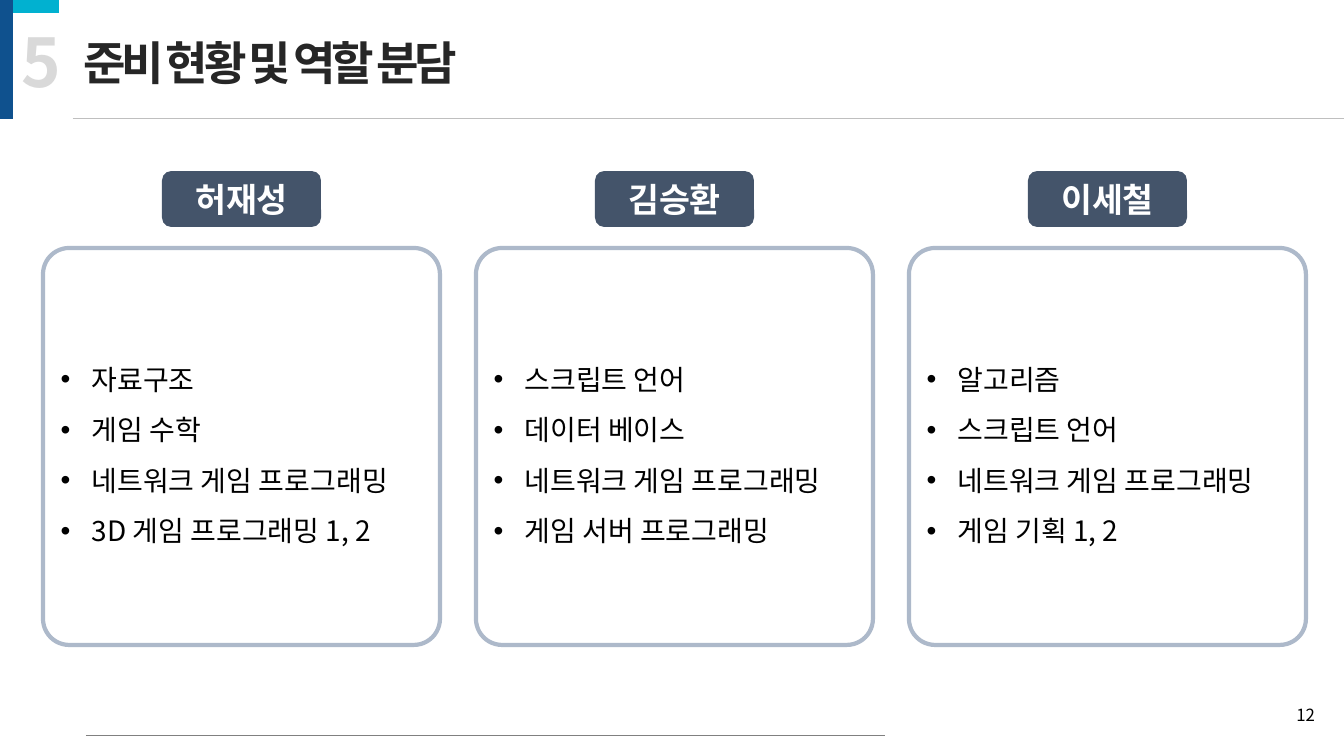
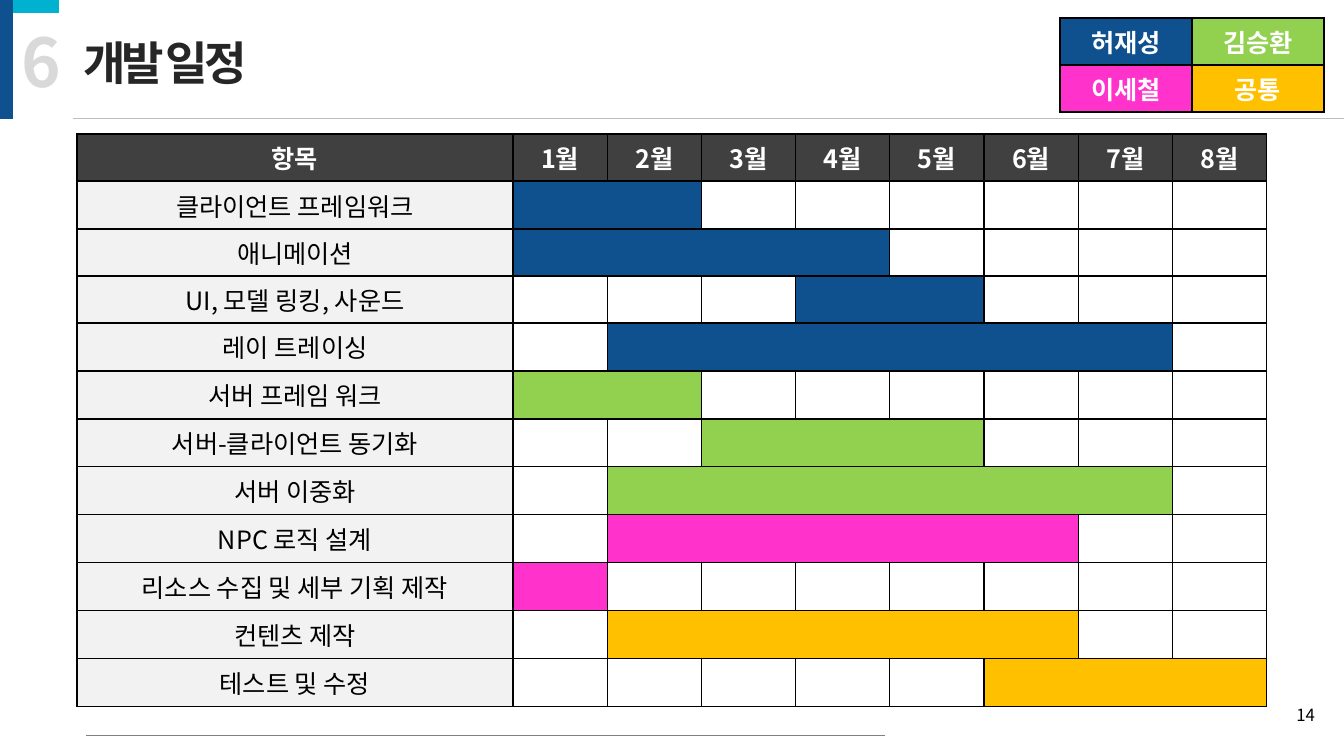
from lxml import etree
from pptx import Presentation
from pptx.dml.color import RGBColor
from pptx.enum.shapes import MSO_CONNECTOR, MSO_SHAPE
from pptx.enum.text import MSO_ANCHOR, MSO_AUTO_SIZE, PP_ALIGN
from pptx.oxml.ns import qn
from pptx.util import Emu, Pt

RECT, ROUNDED = MSO_SHAPE.RECTANGLE, MSO_SHAPE.ROUNDED_RECTANGLE
STRAIGHT = MSO_CONNECTOR.STRAIGHT
LEFT, CENTER, RIGHT = PP_ALIGN.LEFT, PP_ALIGN.CENTER, PP_ALIGN.RIGHT
TOP, MIDDLE = MSO_ANCHOR.TOP, MSO_ANCHOR.MIDDLE
FIXED_SIZE = MSO_AUTO_SIZE.NONE

FONT = "Noto Sans CJK KR"
NAVY, CYAN, GREEN, PINK, AMBER = "0F518E", "01B1D0", "92D050", "FF33CC", "FFC000"
SLATE, CARD_EDGE = "44546A", "ADB9CA"
BLACK, WHITE, INK, HEADER = "000000", "FFFFFF", "262626", "404040"
PALE, FAINT, RULE, FOOT_RULE = "F2F2F2", "D9D9D9", "BFBFBF", "808080"

SLIDE_WIDTH, SLIDE_HEIGHT = 1344, 756
TITLE_ONLY = 5

MEMBERS = {
    "허재성": ["자료구조", "게임 수학", "네트워크 게임 프로그래밍", "3D 게임 프로그래밍 1, 2"],
    "김승환": ["스크립트 언어", "데이터 베이스", "네트워크 게임 프로그래밍", "게임 서버 프로그래밍"],
    "이세철": ["알고리즘", "스크립트 언어", "네트워크 게임 프로그래밍", "게임 기획 1, 2"],
}
OWNERS = [[("허재성", NAVY), ("김승환", GREEN)], [("이세철", PINK), ("공통", AMBER)]]
MONTHS = 8
TASKS = [  # task, owner colour, first month, last month
    ("클라이언트 프레임워크", NAVY, 1, 2),
    ("애니메이션", NAVY, 1, 4),
    ("UI, 모델 링킹, 사운드", NAVY, 4, 5),
    ("레이 트레이싱", NAVY, 2, 7),
    ("서버 프레임 워크", GREEN, 1, 2),
    ("서버-클라이언트 동기화", GREEN, 3, 5),
    ("서버 이중화", GREEN, 2, 7),
    ("NPC 로직 설계", PINK, 2, 6),
    ("리소스 수집 및 세부 기획 제작", PINK, 1, 1),
    ("컨텐츠 제작", AMBER, 2, 6),
    ("테스트 및 수정", AMBER, 6, 8),
]


def px(length):
    """Turn pixels into EMU."""
    return Emu(round(length * 914400 / 100.8))


def rgb(color):
    """Turn a hex string into a colour."""
    return RGBColor.from_string(color)


class Deck:
    """Holds the shared style and the current slide."""

    def __init__(self):
        """Start an empty presentation."""
        self.prs = Presentation()
        self.prs.slide_width = px(SLIDE_WIDTH)
        self.prs.slide_height = px(SLIDE_HEIGHT)
        self.slide = None

    def new_slide(self, section, title, page):
        """Add a slide with bands, rules, section number, title and page."""
        self.slide = self.prs.slides.add_slide(self.prs.slide_layouts[TITLE_ONLY])
        self.shape(RECT, (0, 0, 13, 119), fill=NAVY)
        self.shape(RECT, (13, 0, 46, 13), fill=CYAN)
        self.rule(73, SLIDE_WIDTH, 118, RULE)
        self.rule(86, 885, 735, FOOT_RULE)
        self.title(title)
        self.text(section, (12, 9, 61, 92), 48, FAINT, bold=True, leading=62, wrap=False)
        self.text(page, (1282, 695, 43, 40), 12, BLACK, align=RIGHT, anchor=MIDDLE)

    def styled_run(self, paragraph, words, size, color, bold=False, align=LEFT, leading=None):
        """Add one formatted run to a paragraph; leading is in points."""
        paragraph.alignment = align
        if leading:
            paragraph.line_spacing = Pt(leading)
        run = paragraph.add_run()
        run.text = words
        font = run.font
        font.size, font.bold = Pt(size), bold
        font.color.rgb = rgb(color)
        font.name = FONT
        etree.SubElement(font._element, qn("a:ea"), typeface=FONT)
        return run

    def title(self, words):
        """Place and fill the title placeholder."""
        title = self.slide.shapes.title
        title.left, title.top, title.width, title.height = map(px, (73, 25, 452, 67))
        frame = title.text_frame
        frame.auto_size, frame.vertical_anchor = FIXED_SIZE, TOP
        run = self.styled_run(frame.paragraphs[0], words, 33, INK, True, leading=43)
        run.font._element.set("spc", "-300")

    def text(self, words, box, size, color, anchor=TOP, wrap=True, **style):
        """Add a one-line text box."""
        frame = self.slide.shapes.add_textbox(*map(px, box)).text_frame
        frame.word_wrap, frame.vertical_anchor = wrap, anchor
        self.styled_run(frame.paragraphs[0], words, size, color, **style)

    def shape(self, kind, box, fill=None, edge=None):
        """Add a preset shape with an optional fill and 3 pt edge."""
        shape = self.slide.shapes.add_shape(kind, *map(px, box))
        shape.shadow.inherit = False
        if fill:
            shape.fill.solid()
            shape.fill.fore_color.rgb = rgb(fill)
        else:
            shape.fill.background()
        if edge:
            shape.line.color.rgb = rgb(edge)
            shape.line.width = Pt(3)
        else:
            shape.line.fill.background()
        return shape

    def rule(self, start, end, y, color):
        """Draw a thin horizontal line."""
        line = self.slide.shapes.add_connector(STRAIGHT, px(start), px(y), px(end), px(y))
        line.line.color.rgb = rgb(color)
        line.line.width = Pt(0.5)
        etree.SubElement(line._element.spPr, qn("a:effectLst"))

    def badge(self, name, box):
        """Add a filled name badge."""
        frame = self.shape(ROUNDED, box, fill=SLATE).text_frame
        frame.vertical_anchor = MIDDLE
        self.styled_run(frame.paragraphs[0], name, 24, WHITE, True, CENTER)

    def card(self, items, box):
        """Add an outlined card with a bulleted list."""
        card = self.shape(ROUNDED, box, edge=CARD_EDGE)
        card.adjustments[0] = 0.066
        frame = card.text_frame
        frame.word_wrap, frame.vertical_anchor = True, MIDDLE
        for index, item in enumerate(items):
            paragraph = frame.add_paragraph() if index else frame.paragraphs[0]
            self.styled_run(paragraph, item, 20, BLACK, leading=36)
            properties = paragraph._p.get_or_add_pPr()
            properties.set("marL", str(px(31)))
            properties.set("indent", str(-px(31)))
            etree.SubElement(properties, qn("a:buFont"), typeface="Arial")
            etree.SubElement(properties, qn("a:buChar"), char="•")

    def table(self, left, top, widths, heights):
        """Add a plain table with black borders and no fills."""
        box = (left, top, sum(widths), sum(heights))
        table = self.slide.shapes.add_table(len(heights), len(widths), *map(px, box)).table
        table.first_row = table.horz_banding = False
        for column, width in zip(table.columns, widths):
            column.width = px(width)
        for row, height in zip(table.rows, heights):
            row.height = px(height)
        for cell in table.iter_cells():
            cell.fill.background()
            self.borders(cell)
        return table

    def borders(self, cell):
        """Draw 1 pt borders around a cell."""
        properties = cell._tc.get_or_add_tcPr()
        for index, side in enumerate(("a:lnL", "a:lnR", "a:lnT", "a:lnB")):
            line = etree.Element(qn(side), w=str(Pt(1)))
            fill = etree.SubElement(line, qn("a:solidFill"))
            etree.SubElement(fill, qn("a:srgbClr"), val=BLACK)
            properties.insert(index, line)

    def cell(self, cell, fill, words="", color=WHITE, bold=True):
        """Fill a cell and set its centred text, if any."""
        cell.fill.solid()
        cell.fill.fore_color.rgb = rgb(fill)
        cell.vertical_anchor = MIDDLE
        if words:
            self.styled_run(cell.text_frame.paragraphs[0], words, 18, color, bold, CENTER)


def roles_slide(deck):
    """Build the slide on preparation and roles."""
    deck.new_slide("5", "준비 현황 및 역할 분담", "12")
    pitch = 433
    for index, (name, subjects) in enumerate(MEMBERS.items()):
        deck.badge(name, (162 + index * pitch, 171, 159, 56))
        deck.card(subjects, (43 + index * pitch, 248, 397, 397))


def schedule_slide(deck):
    """Build the slide with the development schedule."""
    deck.new_slide("6", "개발 일정", "14")
    month_width = 754 / MONTHS
    heights = [47, 48, 47, 47] + [48] * (len(TASKS) - 3)
    schedule = deck.table(77, 134, [436] + [month_width] * MONTHS, heights)
    headings = ["항목"] + [f"{month}월" for month in range(1, MONTHS + 1)]
    for column, heading in enumerate(headings):
        deck.cell(schedule.cell(0, column), HEADER, heading)
    for row, (task, owner, first, last) in enumerate(TASKS, start=1):
        deck.cell(schedule.cell(row, 0), PALE, task, BLACK, bold=False)
        for month in range(first, last + 1):
            deck.cell(schedule.cell(row, month), owner)
        if last > first:
            schedule.cell(row, first).merge(schedule.cell(row, last))

    legend = deck.table(1060, 18, [132, 132], [47, 47])
    for row, owners in enumerate(OWNERS):
        for column, (name, color) in enumerate(owners):
            deck.cell(legend.cell(row, column), color, name)


deck = Deck()
roles_slide(deck)
schedule_slide(deck)
deck.prs.save("out.pptx")
